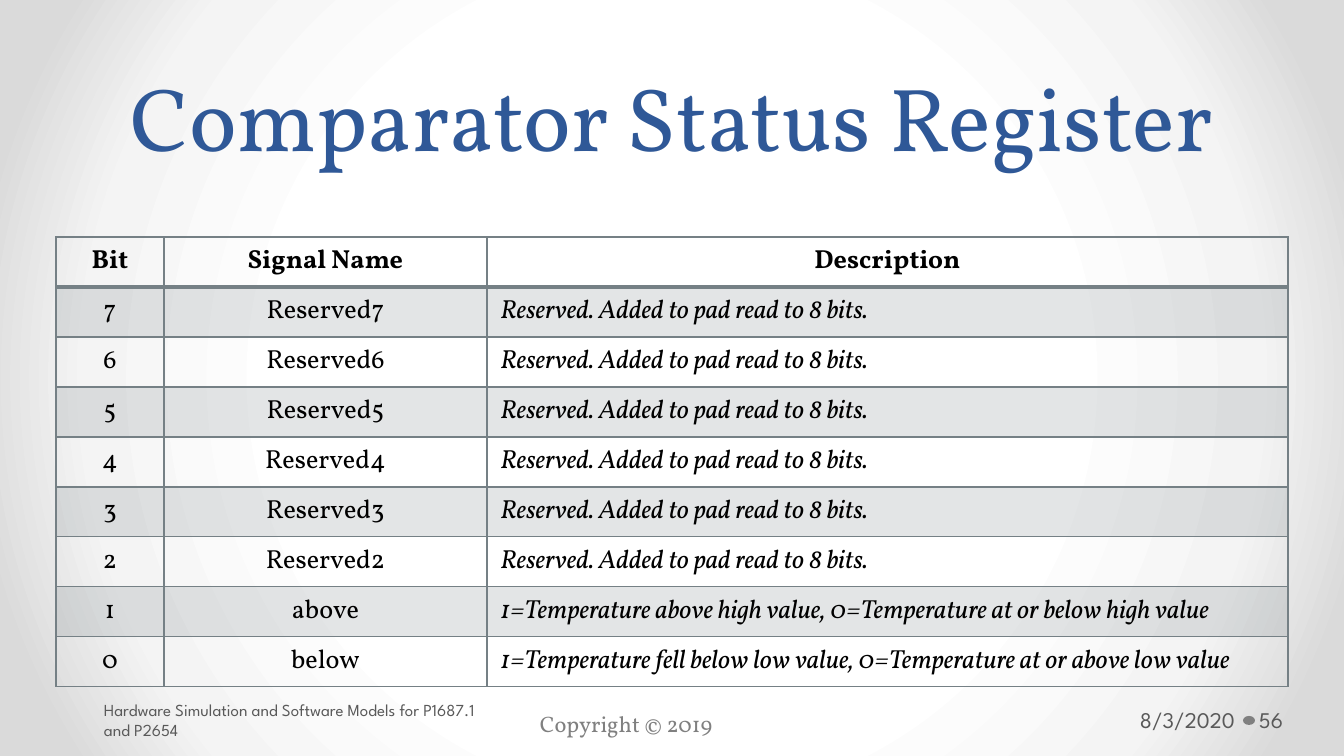
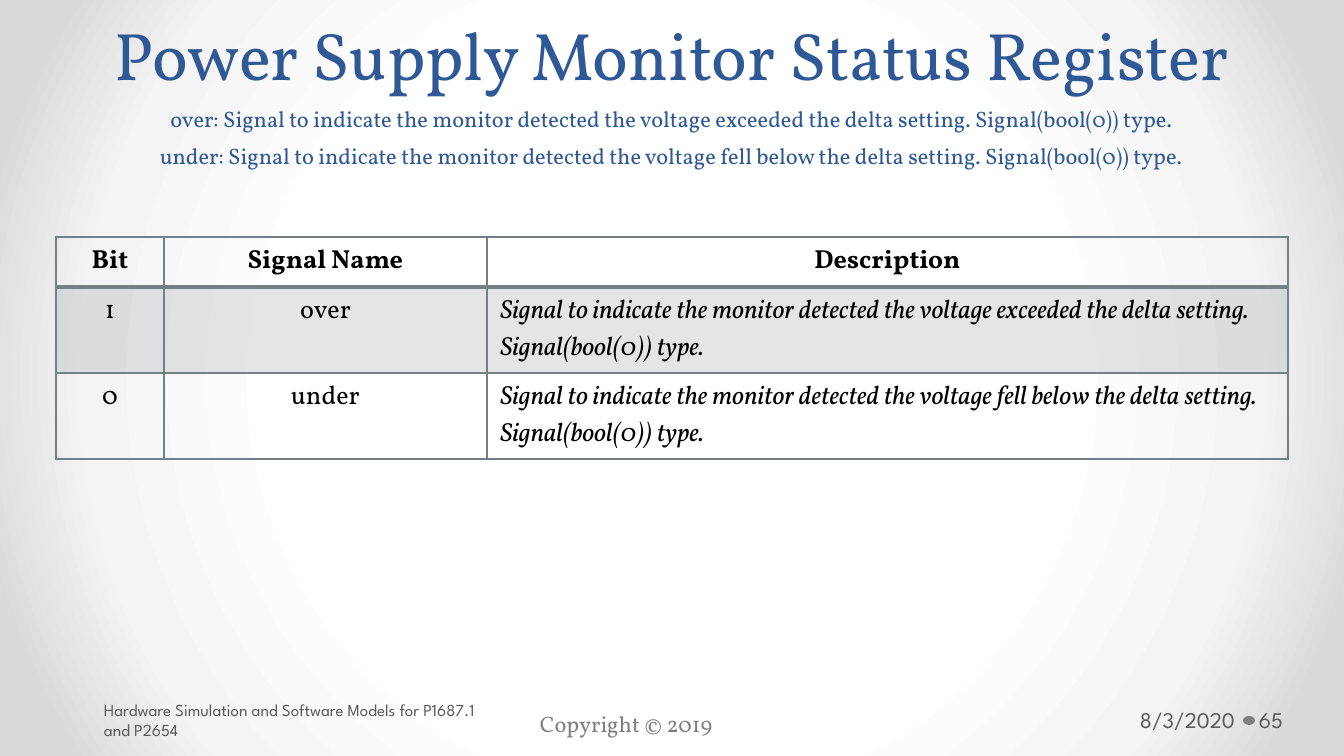
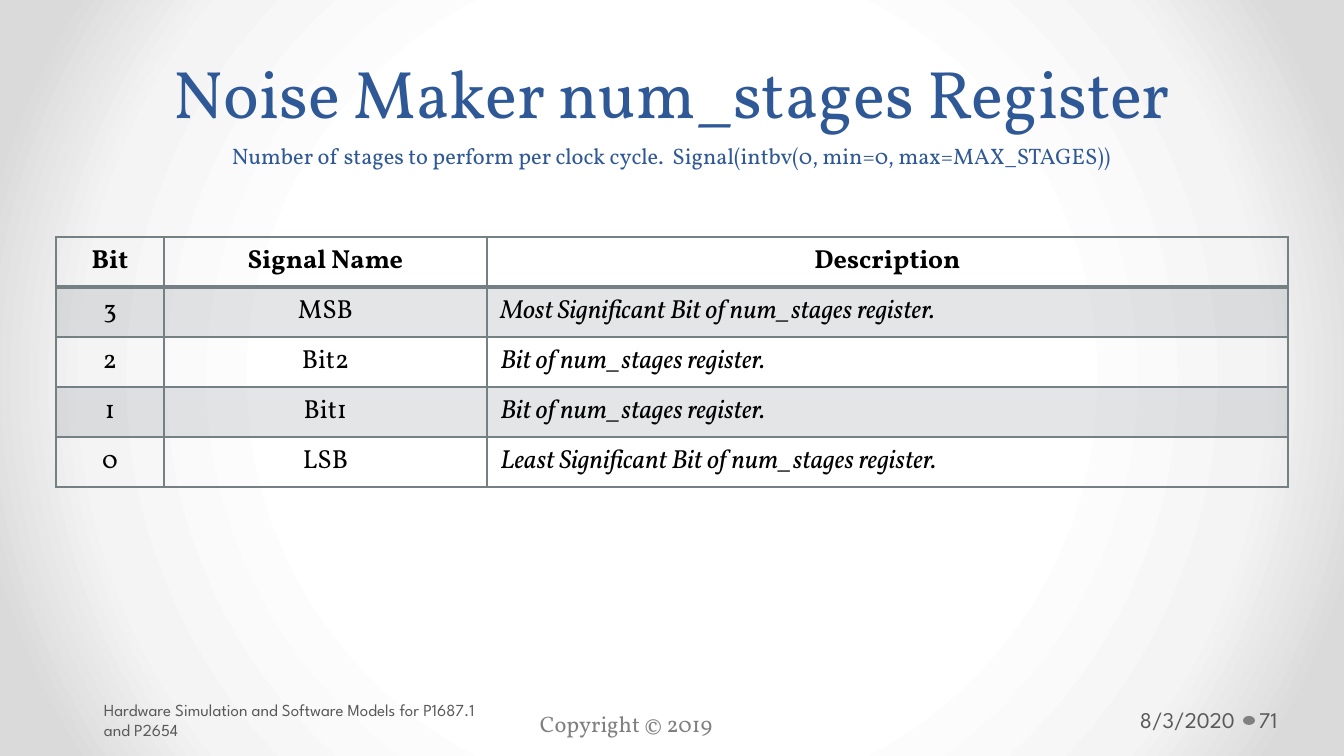
import dataclasses

import pptx
import pptx.dml.color
import pptx.enum.shapes
import pptx.enum.text
import pptx.oxml
import pptx.oxml.ns
import pptx.util

ALIGN = pptx.enum.text.PP_ALIGN
ANCHOR = pptx.enum.text.MSO_ANCHOR
qn = pptx.oxml.ns.qn
NS = pptx.oxml.ns.nsdecls("a", "p")


@dataclasses.dataclass(frozen=True)
class Theme:
    serif: str = "Vollkorn"
    sans: str = "League Spartan"
    title: str = "2F5897"
    ink: str = "000000"
    muted: str = "808080"
    footer: str = "595959"
    grid: str = "758085"
    band_alpha: int = 20
    backdrop: tuple = ((50, "FFFFFF"), (76, "F4F4F4"), (92, "DADADA"))
    title_pt: int = 48
    long_title_pt: int = 36
    body_pt: int = 14
    small_pt: int = 12
    tiny_pt: int = 9


T = Theme()


def px(n):
    return pptx.util.Emu(round(n * 914400 / 134.4))


def rgb(color):
    return pptx.dml.color.RGBColor.from_string(color)


def write(tf, text, *, size=T.body_pt, font=T.serif, color=T.ink, bold=False,
          italic=False, align=ALIGN.LEFT, spacing=None, rest_size=None):
    """Fill one paragraph; lines after the first may have their own size."""
    p = tf.paragraphs[0]
    p.alignment = align
    if spacing:
        p.line_spacing = pptx.util.Pt(spacing)
    for i, line in enumerate(text.split("\n")):
        if i:
            p.add_line_break()
        r = p.add_run()
        r.text = line
        r.font.name = font
        r.font.size = pptx.util.Pt(rest_size if i and rest_size else size)
        r.font.bold, r.font.italic = bold, italic
        r.font.color.rgb = rgb(color)


class Deck:
    def __init__(self):
        self.prs = pptx.Presentation()
        self.prs.slide_width, self.prs.slide_height = px(1344), px(756)
        self.s = None

    def new_slide(self, page):
        self.s = self.prs.slides.add_slide(self.prs.slide_layouts[6])
        self.background()
        self.footer(page)

    def background(self):
        stops = "".join(f'<a:gs pos="{pos * 1000}"><a:srgbClr val="{color}"/></a:gs>'
                        for pos, color in T.backdrop)
        self.s.element.cSld.insert(0, pptx.oxml.parse_xml(
            f'<p:bg {NS}><p:bgPr><a:gradFill rotWithShape="1"><a:gsLst>{stops}</a:gsLst>'
            '<a:path path="circle"><a:fillToRect l="50000" t="50000" r="50000" b="50000"/>'
            '</a:path></a:gradFill><a:effectLst/></p:bgPr></p:bg>'))

    def text(self, box, text, *, anchor=ANCHOR.TOP, left=13, right=13, **fmt):
        tf = self.s.shapes.add_textbox(*map(px, box)).text_frame
        tf.word_wrap = True
        tf.vertical_anchor = anchor
        tf.margin_left, tf.margin_right = px(left), px(right)
        tf.margin_top = tf.margin_bottom = px(7)
        write(tf, text, **fmt)

    def dot(self, box):
        sp = self.s.shapes.add_shape(pptx.enum.shapes.MSO_SHAPE.OVAL, *map(px, box))
        sp.shadow.inherit = False
        sp.fill.solid()
        sp.fill.fore_color.rgb = rgb(T.muted)
        sp.line.fill.background()

    def footer(self, page):
        self.dot((1243, 716, 12, 9))
        self.text((527, 703, 392, 40), "Copyright © 2019", size=T.small_pt, color=T.muted)
        fmt = dict(anchor=ANCHOR.MIDDLE, font=T.sans, color=T.footer)
        self.text((1109, 700, 133, 40), "8/3/2020", right=7, size=T.small_pt,
                  align=ALIGN.RIGHT, **fmt)
        self.text((97, 700, 418, 40),
                  "Hardware Simulation and Software Models for P1687.1 and P2654",
                  left=7, size=T.tiny_pt, **fmt)
        self.text((1255, 700, 82, 40), str(page), left=4, right=7, size=T.small_pt, **fmt)

    def title(self, text, size, spacing):
        self.text((67, 0, 1210, 176), text, anchor=ANCHOR.BOTTOM, size=size,
                  rest_size=T.small_pt, color=T.title, align=ALIGN.CENTER, spacing=spacing)

    def borders(self, cell, top, bottom):
        tcPr = cell._tc.get_or_add_tcPr()
        for side, width in (("L", 1), ("R", 1), ("T", top), ("B", bottom)):
            tcPr.append(pptx.oxml.parse_xml(
                f'<a:ln{side} {NS} w="{width * 12700}"><a:solidFill>'
                f'<a:srgbClr val="{T.grid}"/></a:solidFill></a:ln{side}>'))

    def band(self, cell):
        cell.fill.solid()
        cell.fill.fore_color.rgb = rgb(T.grid)
        clr = cell._tc.tcPr.find(qn("a:solidFill")).find(qn("a:srgbClr"))
        clr.append(pptx.oxml.parse_xml(f'<a:alpha {NS} val="{T.band_alpha * 1000}"/>'))

    def register_table(self, signals, row_height):
        rows = [("Bit", "Signal Name", "Description"), *signals]
        widths = (108, 323, 801)
        heights = [50] + [row_height] * len(signals)
        table = self.s.shapes.add_table(
            len(rows), len(widths), px(56), px(237), px(sum(widths)), px(sum(heights))).table
        table.first_row = table.horz_banding = False
        for col, width in zip(table.columns, widths):
            col.width = px(width)
        for i, values in enumerate(rows):
            table.rows[i].height = px(heights[i])
            for j, value in enumerate(values):
                cell = table.cell(i, j)
                description = i > 0 and j == 2
                write(cell.text_frame, value, bold=i == 0, italic=description,
                      align=ALIGN.LEFT if description else ALIGN.CENTER)
                self.borders(cell, top=2 if i == 1 else 1, bottom=2 if i == 0 else 1)
                if i % 2:
                    self.band(cell)
                else:
                    cell.fill.background()


def main():
    deck = Deck()

    # Comparator
    deck.new_slide(56)
    deck.title("Comparator Status Register", T.title_pt, spacing=58)
    reserved = [(str(bit), f"Reserved{bit}", "Reserved. Added to pad read to 8 bits.")
                for bit in range(7, 1, -1)]
    deck.register_table(reserved + [
        ("1", "above", "1=Temperature above high value, 0=Temperature at or below high value"),
        ("0", "below", "1=Temperature fell below low value, 0=Temperature at or above low value"),
    ], row_height=50)

    # Power supply monitor
    signals = [(name, "Signal to indicate the monitor detected the voltage "
                      f"{event} the delta setting. Signal(bool(0)) type.")
               for name, event in (("over", "exceeded"), ("under", "fell below"))]
    deck.new_slide(65)
    deck.title("\n".join(["Power Supply Monitor Status Register",
                          *(f"{name}: {meaning}" for name, meaning in signals)]),
               T.long_title_pt, spacing=20)
    deck.register_table([(str(1 - i), *signal) for i, signal in enumerate(signals)],
                        row_height=86)

    # Noise maker
    deck.new_slide(71)
    deck.title("Noise Maker num_stages Register\n"
               "Number of stages to perform per clock cycle.  "
               "Signal(intbv(0, min=0, max=MAX_STAGES))", T.long_title_pt, spacing=20)
    stages = (("MSB", "Most Significant Bit"), ("Bit2", "Bit"),
              ("Bit1", "Bit"), ("LSB", "Least Significant Bit"))
    deck.register_table([(str(3 - i), name, f"{kind} of num_stages register.")
                         for i, (name, kind) in enumerate(stages)], row_height=50)

    deck.prs.save("out.pptx")


if __name__ == "__main__":
    main()
